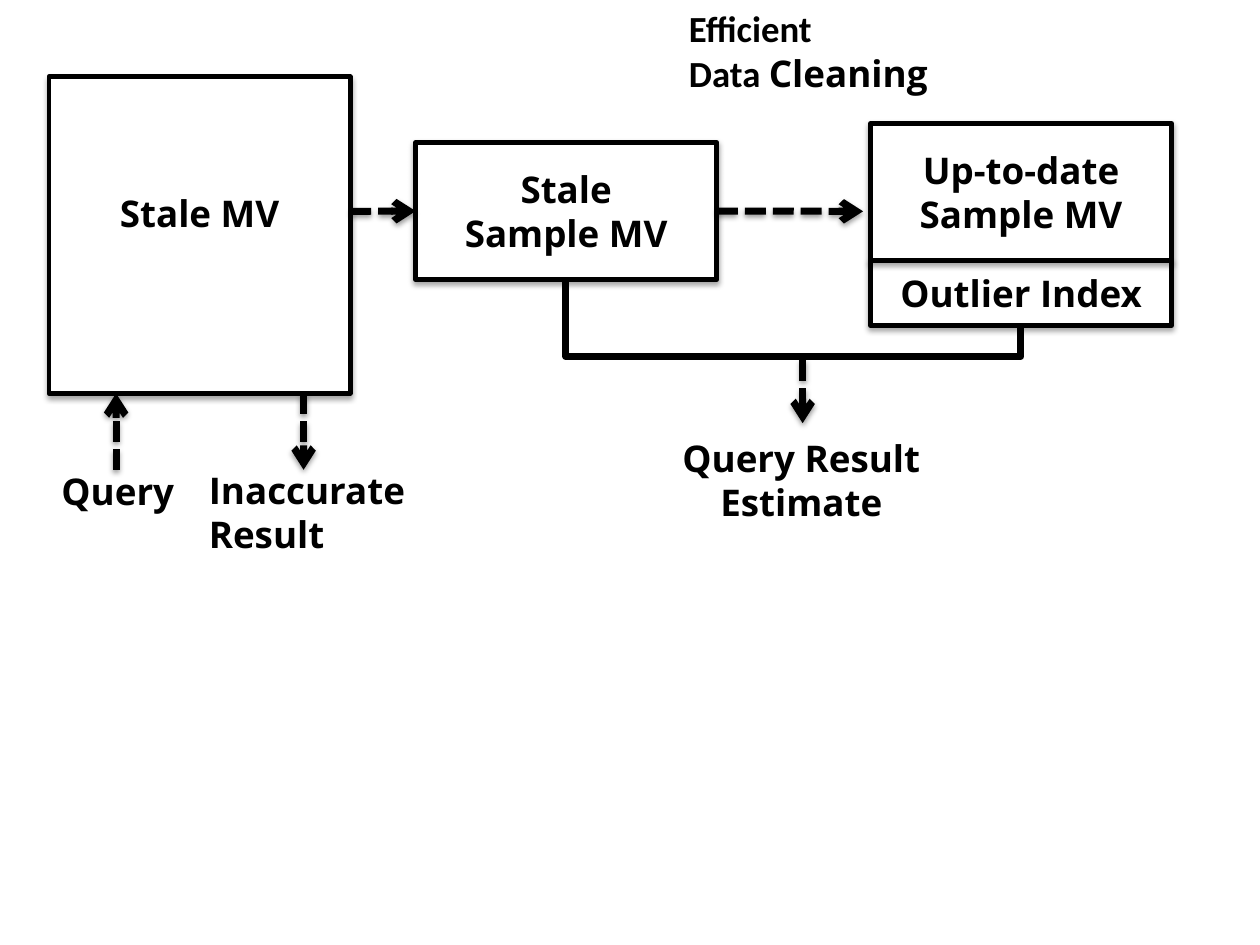
from lxml import etree
from pptx import Presentation
from pptx.dml.color import RGBColor
from pptx.enum.dml import MSO_LINE
from pptx.enum.shapes import MSO_CONNECTOR, MSO_SHAPE
from pptx.enum.text import MSO_ANCHOR, MSO_AUTO_SIZE, PP_ALIGN
from pptx.oxml.ns import qn
from pptx.util import Cm, Pt

RECT = MSO_SHAPE.RECTANGLE
STRAIGHT, ELBOW = MSO_CONNECTOR.STRAIGHT, MSO_CONNECTOR.ELBOW
DASH = MSO_LINE.SQUARE_DOT
MIDDLE = MSO_ANCHOR.MIDDLE
LEFT, CENTER = PP_ALIGN.LEFT, PP_ALIGN.CENTER
GROW = MSO_AUTO_SIZE.SHAPE_TO_FIT_TEXT

COLORS = {"ink": "000000", "paper": "FFFFFF"}
SANS, ALT = "Open Sans", "Calibri"
FONT = {"size": Pt(21), "bold": True}
BOX_W = 6.07

BOXES = {
    "stale": (0.99, 1.55, 6.38, ["Stale MV"]),
    "sample": (8.38, 2.87, 2.77, ["Stale", "Sample MV"]),
    "outlier": (17.55, 5.26, 1.3, ["Outlier Index"]),
    "fresh": (17.55, 2.49, 2.77, ["Up-to-date Sample MV"]),
}
LABELS = [
    (0.99, 9.32, 2.84, 1.14, LEFT, [[("Query", SANS)]]),
    (3.96, 9.3, 4.5, 2.06, LEFT, [[("Inaccurate", SANS)], [("Result", SANS)]]),
    (13.41, 8.66, 5.49, 2.06, CENTER, [[("Query Result", SANS)], [("Estimate", SANS)]]),
    (13.64, 0, 5.54, 2.06, LEFT,
     [[("Efficient", ALT)], [("Data ", ALT), ("Cleaning", SANS)]]),
]
FLOW_Y = 4.26
ARROWS = [
    (7.06, FLOW_Y, 8.38, FLOW_Y, None, ("sample", 1)),
    (14.45, FLOW_Y, 17.4, FLOW_Y, ("sample", 3), None),
    (2.34, 9.47, 2.34, 7.93, None, None),
    (6.12, 7.93, 6.12, 9.47, None, None),
    (16.18, 7.26, 16.18, 8.53, None, None),
]
MERGE = (11.41, 5.64, 20.58, 6.56)
MERGE_Y = 7.19


def rgb(name):
    return RGBColor.from_string(COLORS[name])


def add_effects(s, dist=None, alpha=None):
    effects = etree.SubElement(s._element.spPr, qn("a:effectLst"))
    if dist:
        shadow = etree.SubElement(effects, qn("a:outerShdw"), blurRad=str(Pt(3.1)),
                                  dist=str(Pt(dist)), dir="5400000", rotWithShape="0")
        color = etree.SubElement(shadow, qn("a:srgbClr"), val=COLORS["ink"])
        etree.SubElement(color, qn("a:alpha"), val=str(alpha * 1000))


def write(tf, paragraphs, align):
    for i, runs in enumerate(paragraphs):
        p = tf.paragraphs[0] if i == 0 else tf.add_paragraph()
        p.alignment = align
        for text, face in runs:
            r = p.add_run()
            r.text = text
            r.font.color.rgb = rgb("ink")
            for key, value in {**FONT, "name": face}.items():
                setattr(r.font, key, value)


def add_line(kind, ends):
    c = shapes.add_connector(kind, *[Cm(v) for v in ends])
    c.line.color.rgb = rgb("ink")
    c.line.width = Pt(4)
    return c


prs = Presentation()
prs.slide_width, prs.slide_height = Cm(25.4), Cm(19.05)
shapes = prs.slides.add_slide(prs.slide_layouts[6]).shapes

boxes = {}
for name, (x, y, h, lines) in BOXES.items():
    s = boxes[name] = shapes.add_shape(RECT, Cm(x), Cm(y), Cm(BOX_W), Cm(h))
    s.fill.solid()
    s.fill.fore_color.rgb = rgb("paper")
    s.line.color.rgb = rgb("ink")
    s.line.width = Pt(2.75)
    add_effects(s, 1.8, 35)
    tf = s.text_frame
    tf.word_wrap = True
    tf.vertical_anchor = MIDDLE
    write(tf, [[(line, SANS)] for line in lines], CENTER)
boxes["stale"].text_frame.margin_bottom = Cm(1.02)

for *ends, begin, end in ARROWS:
    c = add_line(STRAIGHT, ends)
    c.line.dash_style = DASH
    etree.SubElement(c.line._get_or_add_ln(), qn("a:tailEnd"), type="arrow")
    add_effects(c, 1.6, 38)
    if begin:
        c.begin_connect(boxes[begin[0]], begin[1])
    if end:
        c.end_connect(boxes[end[0]], end[1])

x1, y1, x2, y2 = MERGE
run, rise = x2 - x1, y2 - y1
mid_x, mid_y = (x1 + x2) / 2, (y1 + y2) / 2
c = add_line(ELBOW, (mid_x - rise / 2, mid_y - run / 2, mid_x + rise / 2, mid_y + run / 2))
xfrm = c._element.spPr.find(qn("a:xfrm"))
xfrm.set("rot", "16200000")
xfrm.set("flipH", "1")
guides = c._element.spPr.find(qn("a:prstGeom")).find(qn("a:avLst"))
bend = round((MERGE_Y - y1) / rise * 100000)
etree.SubElement(guides, qn("a:gd"), name="adj1", fmla=f"val {bend}")
add_effects(c)

for x, y, w, h, align, paragraphs in LABELS:
    tf = shapes.add_textbox(Cm(x), Cm(y), Cm(w), Cm(h)).text_frame
    tf.word_wrap = False
    tf.auto_size = GROW
    write(tf, paragraphs, align)

prs.save("out.pptx")
